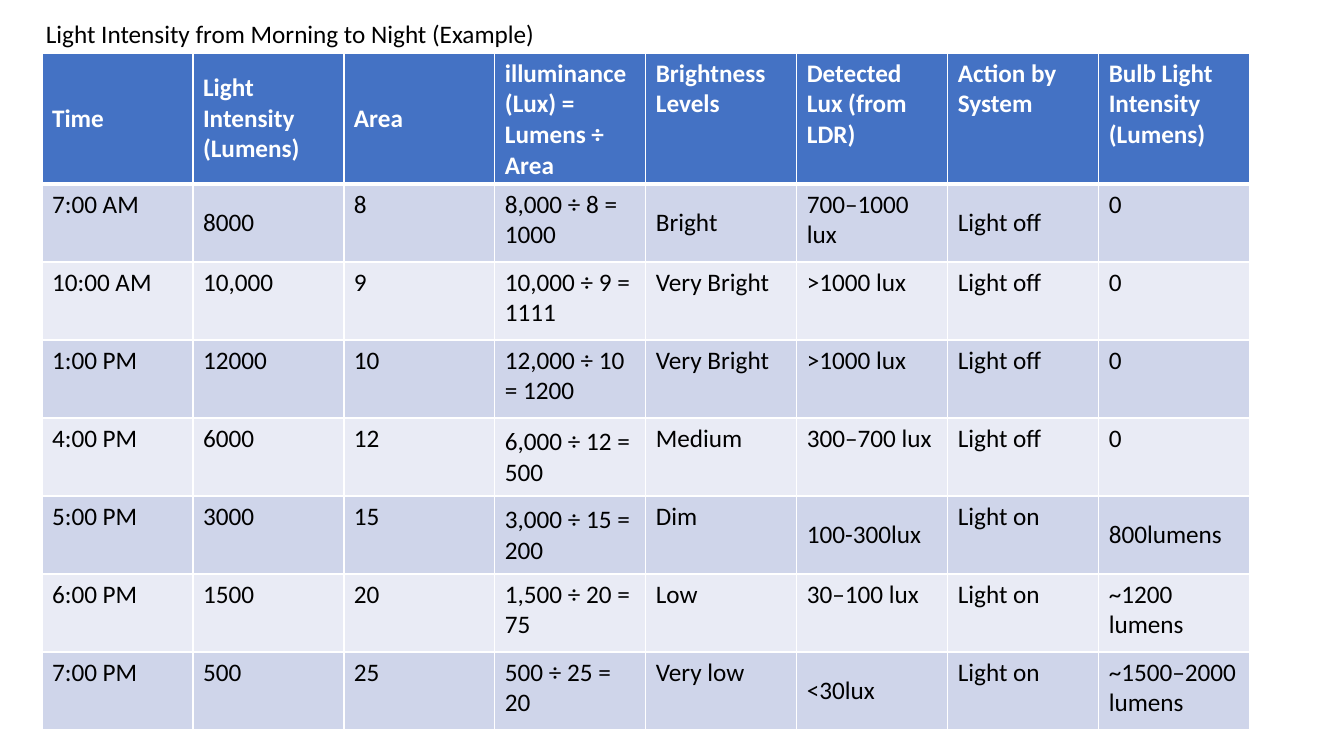
import pptx
import pptx.util
import pptx.dml.color
import pptx.enum.text
import pptx.oxml
import pptx.oxml.ns
from dataclasses import dataclass

HEADING = "Light Intensity from Morning to Night (Example)"
COLUMNS = [
    "Time", "Light Intensity (Lumens)", "Area", "illuminance (Lux) = Lumens ÷ Area",
    "Brightness Levels", "Detected Lux (from LDR)", "Action by System",
    "Bulb Light Intensity (Lumens)",
]
READINGS = [
    ("7:00 AM", "8000", "8", "8,000 ÷ 8 = 1000", "Bright", "700–1000 lux", "Light off", "0"),
    ("10:00 AM", "10,000", "9", "10,000 ÷ 9 = 1111", "Very Bright", ">1000 lux", "Light off", "0"),
    ("1:00 PM", "12000", "10", "12,000 ÷ 10 = 1200", "Very Bright", ">1000 lux", "Light off", "0"),
    ("4:00 PM", "6000", "12", "6,000 ÷ 12 = 500", "Medium", "300–700 lux", "Light off", "0"),
    ("5:00 PM", "3000", "15", "3,000 ÷ 15 = 200", "Dim", "100-300lux", "Light on", "800lumens"),
    ("6:00 PM", "1500", "20", "1,500 ÷ 20 = 75", "Low", "30–100 lux", "Light on", "~1200 lumens"),
    ("7:00 PM", "500", "25", "500 ÷ 25 = 20", "Very low", "<30lux", "Light on", "~1500–2000 lumens"),
]
MIDDLE_COLUMNS = {0: (0, 1, 2, 3), 1: (1, 4, 6), 4: (3,), 5: (3, 5, 7), 7: (5,)}

SLIDE_SIZE = (1344, 756)
HEADING_BOX = (36, 17, 994, 36)
TABLE_CORNER = (42, 53)
COLUMN_WIDTH, HEADER_HEIGHT, READING_HEIGHT = 151, 131, 78


@dataclass(frozen=True)
class Theme:
    font: str = "Calibri"
    size: int = 18
    text: str = "000000"
    header_text: str = "FFFFFF"
    header_fill: str = "4472C4"
    bands: tuple = ("CFD5EA", "E9EBF5")
    border: str = "FFFFFF"
    thin: int = 1
    thick: int = 3


THEME = Theme()


def px(length):
    return pptx.util.Emu(round(length * 914400 / 100.8))


def rgb(value):
    return pptx.dml.color.RGBColor.from_string(value)


def write(frame, text, color, bold=False):
    frame.text = text
    font = frame.paragraphs[0].runs[0].font
    font.name, font.size, font.bold = THEME.font, pptx.util.Pt(THEME.size), bold
    font.color.rgb = rgb(color)


def draw_borders(cell, top, bottom):
    properties = cell._tc.get_or_add_tcPr()
    sides = {"L": THEME.thin, "R": THEME.thin, "T": top, "B": bottom}
    for position, (side, points) in enumerate(sides.items()):
        properties.insert(position, pptx.oxml.parse_xml(
            f'<a:ln{side} {pptx.oxml.ns.nsdecls("a")} w="{pptx.util.Pt(points)}">'
            f'<a:solidFill><a:srgbClr val="{THEME.border}"/></a:solidFill></a:ln{side}>'))


def add_heading(slide):
    frame = slide.shapes.add_textbox(*map(px, HEADING_BOX)).text_frame
    frame.word_wrap = True
    frame.vertical_anchor = pptx.enum.text.MSO_ANCHOR.MIDDLE
    write(frame, HEADING, THEME.text)
    frame.paragraphs[0].line_spacing = 0.9


def add_readings(slide):
    rows = [COLUMNS, *READINGS]
    heights = [HEADER_HEIGHT] + [READING_HEIGHT] * len(READINGS)
    size = (COLUMN_WIDTH * len(COLUMNS), sum(heights))
    table = slide.shapes.add_table(
        len(rows), len(COLUMNS), *map(px, TABLE_CORNER + size)).table
    for column in table.columns:
        column.width = px(COLUMN_WIDTH)
    for r, values in enumerate(rows):
        header = r == 0
        table.rows[r].height = px(heights[r])
        fill = THEME.header_fill if header else THEME.bands[(r - 1) % 2]
        for c, value in enumerate(values):
            cell = table.cell(r, c)
            write(cell.text_frame, value, THEME.header_text if header else THEME.text, header)
            if c in MIDDLE_COLUMNS.get(r, ()):
                cell.vertical_anchor = pptx.enum.text.MSO_ANCHOR.MIDDLE
            cell.fill.solid()
            cell.fill.fore_color.rgb = rgb(fill)
            draw_borders(cell, THEME.thick if r == 1 else THEME.thin,
                         THEME.thick if header else THEME.thin)


def main():
    deck = pptx.Presentation()
    deck.slide_width, deck.slide_height = map(px, SLIDE_SIZE)
    slide = deck.slides.add_slide(deck.slide_layouts[6])
    add_heading(slide)
    add_readings(slide)
    deck.save("out.pptx")


if __name__ == "__main__":
    main()
